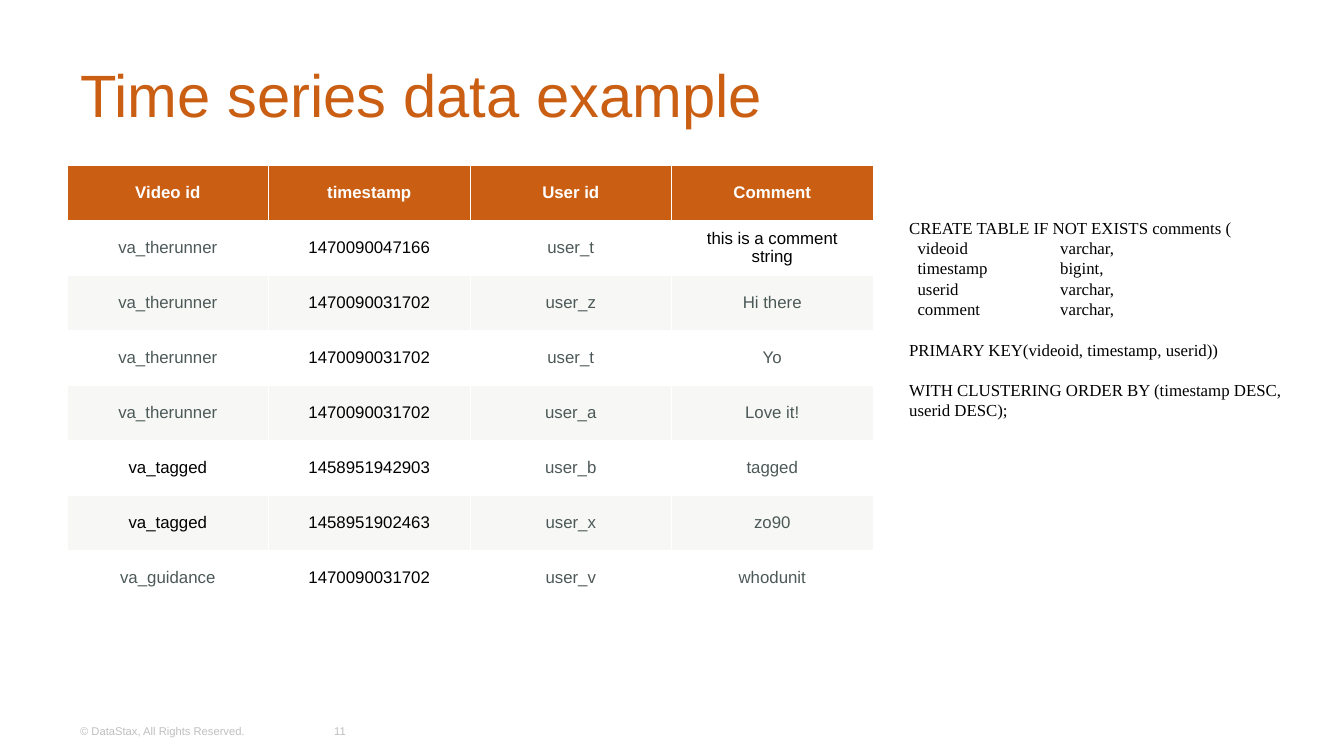
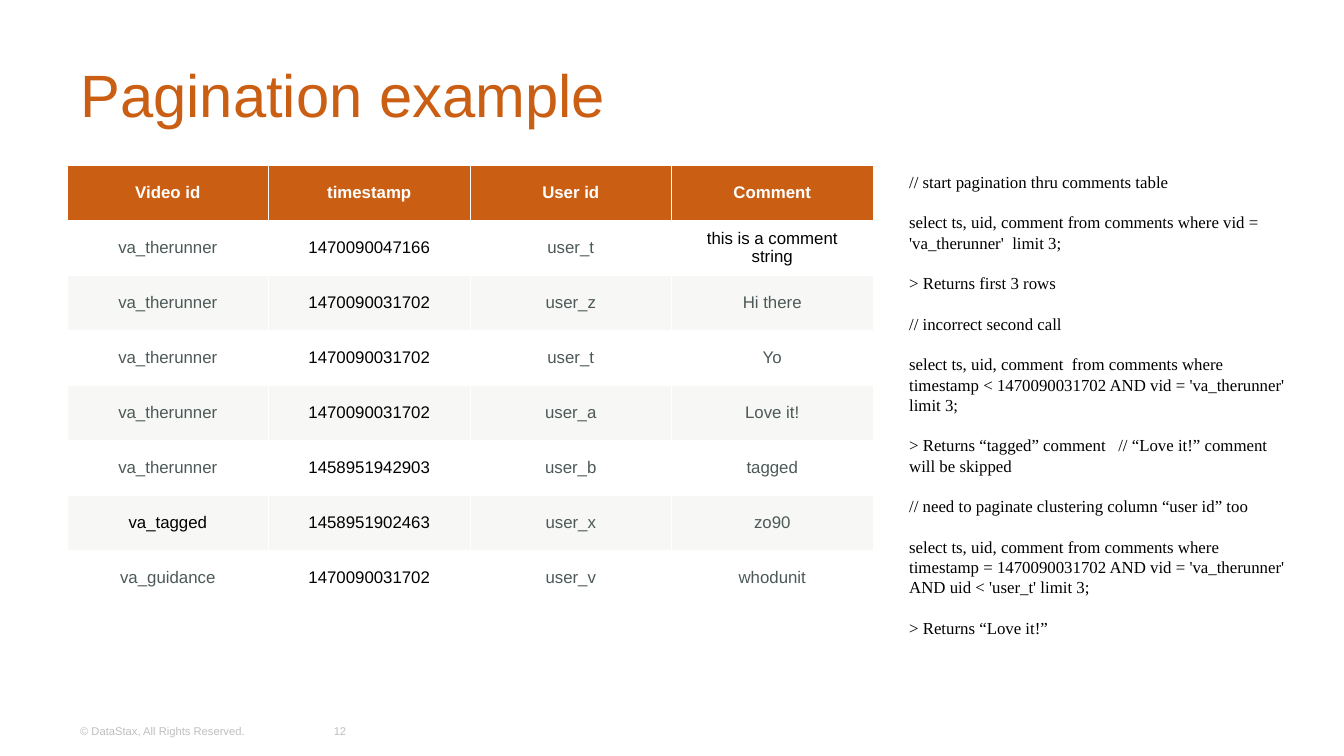
from lxml import etree
from pptx import Presentation
from pptx.dml.color import RGBColor
from pptx.enum.text import MSO_ANCHOR, MSO_AUTO_SIZE, PP_ALIGN
from pptx.oxml.ns import qn
from pptx.util import Emu, Pt

LEFT, CENTER = PP_ALIGN.LEFT, PP_ALIGN.CENTER
TOP, MIDDLE = MSO_ANCHOR.TOP, MSO_ANCHOR.MIDDLE
NO_AUTOFIT = MSO_AUTO_SIZE.NONE

ORANGE = RGBColor(0xCA, 0x5F, 0x14)
WHITE = RGBColor(0xFF, 0xFF, 0xFF)
BAND = RGBColor(0xF7, 0xF8, 0xF5)
GREY = RGBColor(0x4C, 0x59, 0x58)
LIGHT_GREY = RGBColor(0xBF, 0xBF, 0xBF)
BLACK = RGBColor(0, 0, 0)

SANS, SERIF = "Arial", "Times New Roman"
PX = 914400 / 134.4
CODE_LINE = Pt(10.85)
TYPE_TAB = 151
THIN_FROM = 4  # inner row borders are thinner below this row

HEADER = ("Video id", "timestamp", "User id", "Comment")
FIRST_COMMENT = "this is a comment string"
COMMENTS = [
    ("va_therunner", "1470090047166", "user_t", FIRST_COMMENT),
    ("va_therunner", "1470090031702", "user_z", "Hi there"),
    ("va_therunner", "1470090031702", "user_t", "Yo"),
    ("va_therunner", "1470090031702", "user_a", "Love it!"),
    ("va_tagged", "1458951942903", "user_b", "tagged"),
    ("va_tagged", "1458951902463", "user_x", "zo90"),
    ("va_guidance", "1470090031702", "user_v", "whodunit"),
]
# The pagination example files user_b's comment under the first video
PAGED_COMMENTS = [("va_therunner", *row[1:]) if row[2] == "user_b" else row
                  for row in COMMENTS]

# Code blocks: each inner list is a group of lines, with a gap between groups
SCHEMA = [
    ["CREATE TABLE IF NOT EXISTS comments (",
     "  videoid\tvarchar,",
     "  timestamp\tbigint,",
     "  userid\tvarchar,",
     "  comment\tvarchar,"],
    ["PRIMARY KEY(videoid, timestamp, userid))"],
    ["WITH CLUSTERING ORDER BY (timestamp DESC, userid DESC);"],
]
QUERIES = [
    ["// start pagination thru comments table"],
    ["select ts, uid, comment from comments where vid = 'va_therunner'  limit 3;"],
    ["> Returns first 3 rows"],
    ["// incorrect second call"],
    ["select ts, uid, comment  from comments where timestamp < 1470090031702 "
     "AND vid = 'va_therunner' limit 3;"],
    ["> Returns “tagged” comment   // “Love it!” comment will be skipped"],
    ["// need to paginate clustering column “user id” too"],
    ["select ts, uid, comment from comments where timestamp = 1470090031702 "
     "AND vid = 'va_therunner' AND uid < 'user_t' limit 3;"],
    ["> Returns “Love it!”"],
]


def px(n):
    return Emu(round(n * PX))


def style(p, size, color, font=SANS, bold=False, align=LEFT):
    p.alignment = align
    for r in p.runs:
        r.font.name = font
        r.font.size = Pt(size)
        r.font.bold = bold
        r.font.color.rgb = color


def add_title(s, text):
    sp = s.shapes.title
    sp.left, sp.top, sp.width, sp.height = px(67), px(31), px(1210), px(126)
    tf = sp.text_frame
    tf.text = text
    tf.auto_size = NO_AUTOFIT
    tf.vertical_anchor = MIDDLE
    style(tf.paragraphs[0], 32, ORANGE)


def add_box(s, x, y, w, h, anchor):
    tf = s.shapes.add_textbox(px(x), px(y), px(w), px(h)).text_frame
    tf.word_wrap = True
    tf.vertical_anchor = anchor
    return tf


def add_footer(s, number):
    for text, x, w, align in (("© DataStax, All Rights Reserved.", 67, 234, LEFT),
                              (str(number), 310, 60, CENTER)):
        tf = add_box(s, x, 711, w, 40, MIDDLE)
        tf.text = text
        style(tf.paragraphs[0], 6, LIGHT_GREY, align=align)


def set_borders(cell, widths):
    tc_pr = cell._tc.get_or_add_tcPr()
    for i, (side, width) in enumerate(widths.items()):
        ln = etree.Element(qn(f"a:ln{side}"), w=str(Pt(width)))
        fill = etree.SubElement(ln, qn("a:solidFill"))
        etree.SubElement(fill, qn("a:srgbClr"), val=str(WHITE))
        tc_pr.insert(i, ln)  # borders come before the cell fill


def text_color(row, col, text):
    if row == 0:
        return WHITE
    if col == 1 or text in ("va_tagged", FIRST_COMMENT):
        return BLACK
    return GREY


def add_comment_table(s, comments):
    rows = [HEADER, *comments]
    last = len(rows) - 1
    table = s.shapes.add_table(len(rows), len(HEADER), px(67), px(165),
                               px(806), px(441)).table
    table.horz_banding = False
    for i, row in enumerate(rows):
        widths = {"L": 0.5, "R": 0.5,
                  "T": 0.25 if i > THIN_FROM else 0.5,
                  "B": 0.25 if THIN_FROM <= i < last else 0.5}
        for j, text in enumerate(row):
            cell = table.cell(i, j)
            cell.text = text
            cell.vertical_anchor = MIDDLE
            cell.margin_left = cell.margin_right = px(15)
            cell.fill.solid()
            cell.fill.fore_color.rgb = ORANGE if i == 0 else WHITE if i % 2 else BAND
            set_borders(cell, widths)
            style(cell.text_frame.paragraphs[0], 9, text_color(i, j, text),
                  bold=i == 0, align=CENTER)


def add_code(s, y, h, groups):
    tf = add_box(s, 896, y, 403, h, TOP)
    lines = [(line, k == 0) for group in groups for k, line in enumerate(group)]
    for i, (line, starts_group) in enumerate(lines):
        p = tf.paragraphs[0] if i == 0 else tf.add_paragraph()
        p.text = line
        p.line_spacing = CODE_LINE
        if i and starts_group:
            p.space_before = CODE_LINE
        if "\t" in line:
            tabs = etree.SubElement(p._p.get_or_add_pPr(), qn("a:tabLst"))
            etree.SubElement(tabs, qn("a:tab"), pos=str(px(TYPE_TAB)), algn="l")
        style(p, 9, BLACK, font=SERIF)


def add_slide(prs, number, title, comments, code_y, code_h, code):
    s = prs.slides.add_slide(prs.slide_layouts[5])
    add_title(s, title)
    add_comment_table(s, comments)
    add_footer(s, number)
    add_code(s, code_y, code_h, code)


def main():
    prs = Presentation()
    prs.slide_width, prs.slide_height = px(1344), px(756)
    add_slide(prs, 11, "Time series data example", COMMENTS, 211, 218, SCHEMA)
    add_slide(prs, 12, "Pagination example", PAGED_COMMENTS, 165, 523, QUERIES)
    prs.save("out.pptx")


if __name__ == "__main__":
    main()
